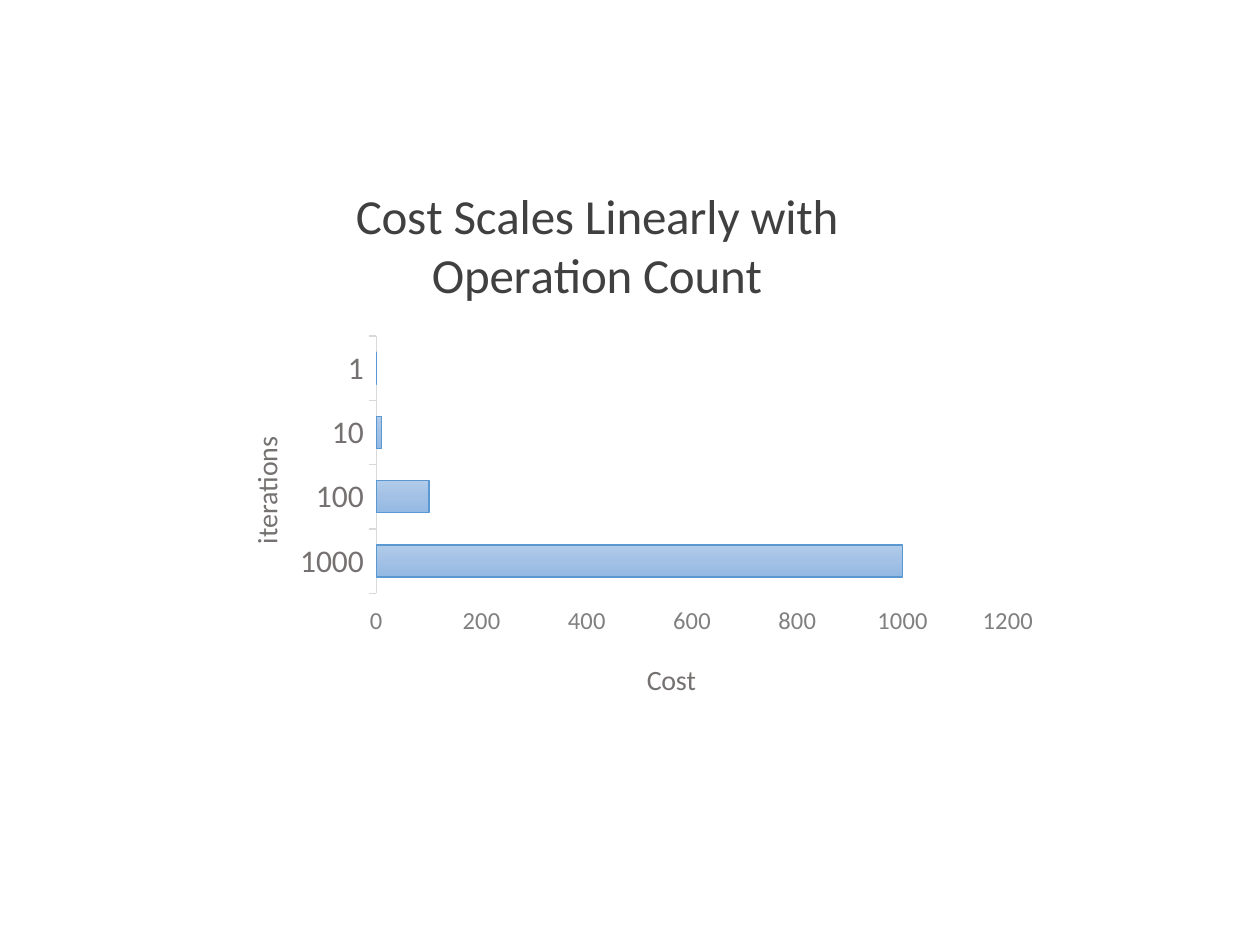
from copy import deepcopy

from lxml import etree
from pptx import Presentation
from pptx import util as u
from pptx.chart import data
from pptx.dml import color
from pptx.enum import chart as kinds
from pptx.oxml import ns

SCALE = 914400 / 126
FONT = "Calibri"
COLORS = {
    "title": "404040", "label": "767171", "value": "808080", "axis": "D9D9D9",
    "bar_top": "B1CBE9", "bar_middle": "A3C1E5", "bar_bottom": "93B9E4", "bar_line": "5998D0",
}
LEFT, TOP, WIDTH, HEIGHT = 210, 159, 840, 559


def style(font, size, name):
    for key, value in {"name": FONT, "size": u.Pt(size), "bold": False}.items():
        setattr(font, key, value)
    font.color.rgb = color.RGBColor.from_string(COLORS[name])


def place(parent, index, x, y, size=None):
    for old in parent.findall(ns.qn("c:layout")):
        parent.remove(old)
    layout = etree.Element(ns.qn("c:layout"))
    manual = etree.SubElement(layout, ns.qn("c:manualLayout"))
    values = {"xMode": "edge", "yMode": "edge",
              "x": round((x - LEFT) / WIDTH, 3), "y": round((y - TOP) / HEIGHT, 3)}
    if size:
        etree.SubElement(manual, ns.qn("c:layoutTarget")).set("val", "inner")
        values.update(w=round(size[0] / WIDTH, 3), h=round(size[1] / HEIGHT, 3))
    for tag, value in values.items():
        etree.SubElement(manual, ns.qn(f"c:{tag}")).set("val", str(value))
    parent.insert(index, layout)


deck = Presentation()
deck.slide_width, deck.slide_height = u.Inches(10), u.Inches(7.5)
page = deck.slides.add_slide(deck.slide_layouts[6])

costs = data.CategoryChartData()
costs.categories = ["1000", "100", "10", "1"]
costs.add_series("Series 1", [1000, 100, 10, 0])
frame = [u.Emu(round(length * SCALE)) for length in (LEFT, TOP, WIDTH, HEIGHT)]
chart = page.shapes.add_chart(kinds.XL_CHART_TYPE.BAR_CLUSTERED, *frame, costs).chart
chart.has_legend = False
chart.font.name, chart.font.size = FONT, u.Pt(10)

plot = chart.plots[0]
plot.gap_width, plot.vary_by_categories = 100, False
place(chart.element.find(".//" + ns.qn("c:plotArea")), 0, 376, 336, (632, 257))

iterations, cost = chart.category_axis, chart.value_axis
for owner, words, size, name, x, y in [
    (chart, "Cost Scales Linearly with Operation Count", 28, "title", 347, 174),
    (iterations, "iterations", 16, "label", 243, 432),
    (cost, "Cost", 16, "label", 642, 656),
]:
    owner.has_title = True
    title = owner.chart_title if owner is chart else owner.axis_title
    para = title.text_frame.paragraphs[0]
    span = para.add_run()
    span.text = words
    style(para.font, size, name)
    style(span.font, size, name)
    place(title._element, 1, x, y)
    if owner is iterations:
        body = title._element.find(".//" + ns.qn("a:bodyPr"))
        body.set("rot", "-5400000")
        body.set("vert", "horz")

for axis, size, name in [(iterations, 18, "label"), (cost, 14, "value")]:
    axis.has_major_gridlines = False
    axis.major_tick_mark = kinds.XL_TICK_MARK.OUTSIDE
    axis.minor_tick_mark = kinds.XL_TICK_MARK.NONE
    style(axis.tick_labels.font, size, name)
iterations.format.line.color.rgb = color.RGBColor.from_string(COLORS["axis"])
iterations.format.line.width = u.Pt(0.75)
cost.format.line.fill.background()
cost.minimum_scale, cost.maximum_scale, cost.major_unit = 0, 1200, 200

bars = plot.series[0]
bars.format.line.color.rgb = color.RGBColor.from_string(COLORS["bar_line"])
bars.format.line.width = u.Pt(0.75)
fill = bars.format.fill
fill.gradient()
fill.gradient_angle = 270
first = bars._element.find(".//" + ns.qn("a:gs"))
first.addnext(deepcopy(first))
for stop, position, name in zip(fill.gradient_stops, (0, 0.5, 1), ("bar_top", "bar_middle", "bar_bottom")):
    stop.position = position
    stop.color.rgb = color.RGBColor.from_string(COLORS[name])

deck.save("out.pptx")
